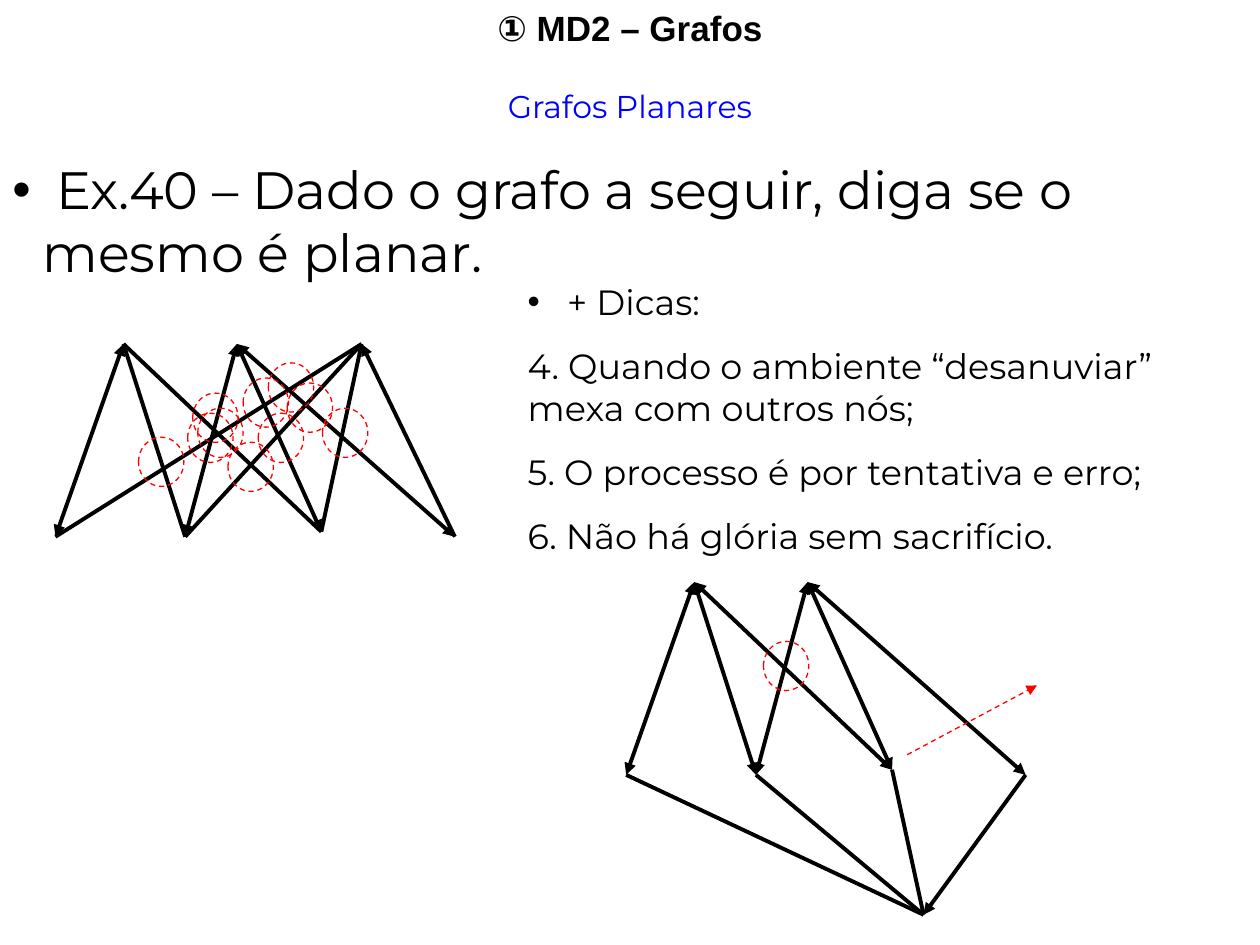
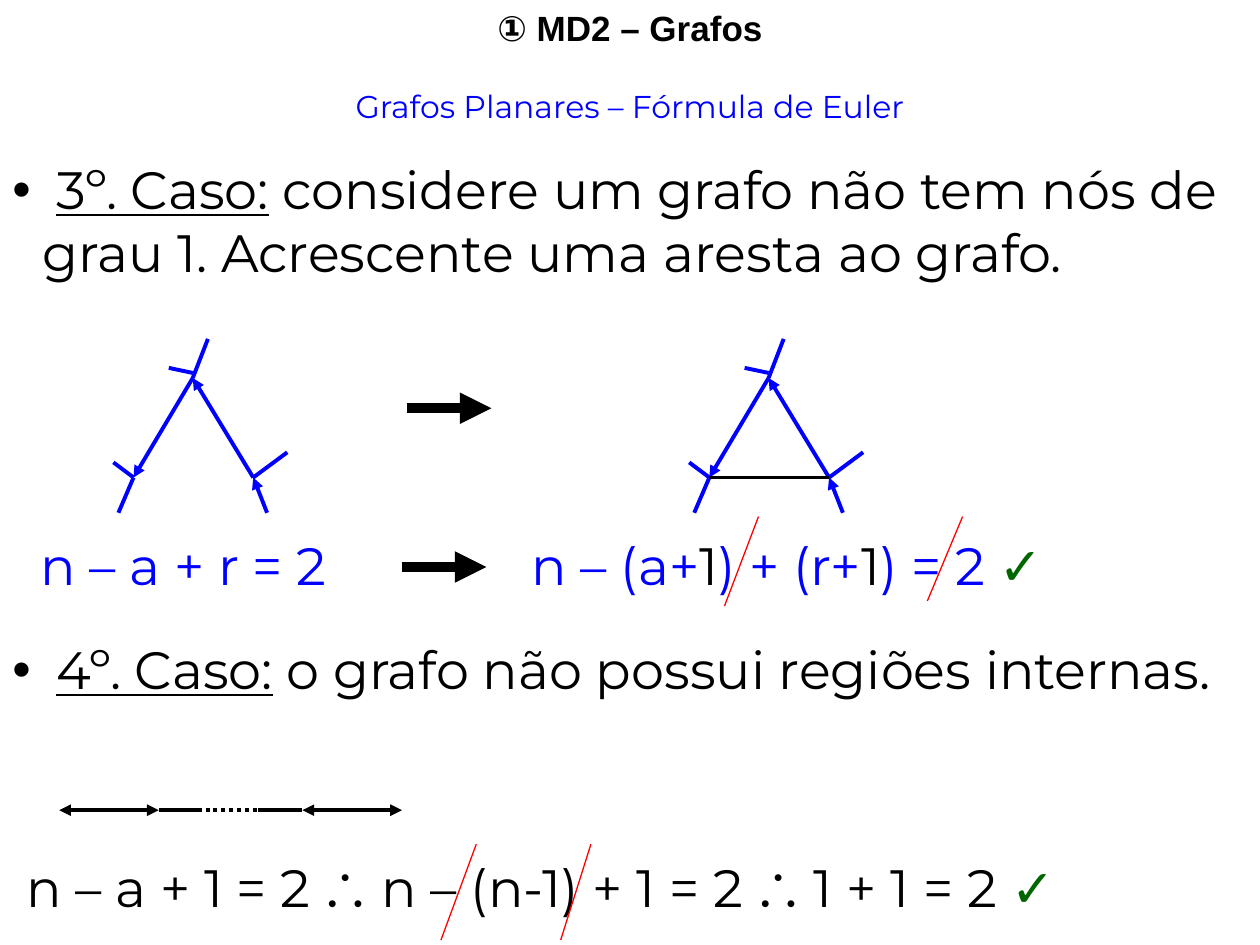
"""Build two lecture slides on planar graphs and Euler's formula."""
import dataclasses

import pptx
import pptx.dml.color
import pptx.enum.dml
import pptx.enum.shapes
import pptx.enum.text
import pptx.oxml.ns
import pptx.util
from lxml import etree

Inches = pptx.util.Inches
Pt = pptx.util.Pt
DASH = pptx.enum.dml.MSO_LINE.DASH
DOTS = pptx.enum.dml.MSO_LINE.ROUND_DOT
CENTER = pptx.enum.text.PP_ALIGN.CENTER


@dataclasses.dataclass(frozen=True)
class Theme:
    ink: str = "000000"
    accent: str = "0000FF"
    mark: str = "FF0000"
    correct: str = "006600"
    heading_font: str = "Arial"
    body_font: str = "Montserrat"
    heading: int = 20
    subtitle: int = 18
    body: int = 30
    hint: int = 20
    edge: float = 2.25
    thin: float = 0.75
    thick: float = 6
    bullet_indent: float = 0.24


theme = Theme()


def write(frame, text, size=theme.body, font=theme.body_font, color=theme.ink, bold=False,
          align=None, before=0, bullet=False, indent=0):
    """Add a paragraph; text is a string or a list of (text, run format) pairs."""
    frame.word_wrap = True
    paragraph = frame.paragraphs[0]
    if paragraph.runs:
        paragraph = frame.add_paragraph()
    paragraph.alignment = align
    paragraph.space_before = Pt(before)
    properties = paragraph._p.get_or_add_pPr()
    hang = theme.bullet_indent if bullet else 0
    properties.set("marL", str(Inches(hang)))
    properties.set("indent", str(Inches(indent - hang)))
    if bullet:
        etree.SubElement(properties, pptx.oxml.ns.qn("a:buFont"), typeface=theme.heading_font)
        etree.SubElement(properties, pptx.oxml.ns.qn("a:buChar"), char="•")
    base = dict(size=size, font=font, color=color, bold=bold, underline=False)
    for words, changes in [(text, {})] if isinstance(text, str) else text:
        style = base | changes
        run = paragraph.add_run()
        run.text = words
        run.font.size = Pt(style["size"])
        run.font.name = style["font"]
        run.font.bold = style["bold"]
        run.font.underline = style["underline"]
        run.font.color.rgb = pptx.dml.color.RGBColor.from_string(style["color"])


def draw_edge(slide, start, end, color=theme.ink, width=theme.edge, dash=None, arrows=""):
    """Draw a straight line; arrows names its ends: head, tail or both."""
    edge = slide.shapes.add_connector(pptx.enum.shapes.MSO_CONNECTOR.STRAIGHT,
                                      *map(Inches, (*start, *end)))
    edge.line.color.rgb = pptx.dml.color.RGBColor.from_string(color)
    edge.line.width = Pt(width)
    if dash:
        edge.line.dash_style = dash
    outline = edge.line._get_or_add_ln()
    for name in ("head", "tail"):
        if name in arrows:
            etree.SubElement(outline, pptx.oxml.ns.qn(f"a:{name}End"), type="triangle")
    etree.SubElement(edge._element.spPr, pptx.oxml.ns.qn("a:effectLst"))


deck = pptx.Presentation()
deck.slide_width, deck.slide_height = Inches(10), Inches(7.5)

openings = [
    ("Grafos Planares", " Ex.40 – Dado o grafo a seguir, diga se o mesmo é planar."),
    ("Grafos Planares – Fórmula de Euler",
     [(" ", {}), ("3º. Caso:", {"underline": True}),
      (" considere um grafo não tem nós de grau 1. Acrescente uma aresta ao grafo.", {})]),
]
for subtitle, statement in openings:
    slide = deck.slides.add_slide(deck.slide_layouts[5])
    title = slide.shapes.title
    title.left, title.top, title.width, title.height = map(Inches, (0, 0, 10, 0.44))
    title.text_frame.vertical_anchor = pptx.enum.text.MSO_ANCHOR.TOP
    title.text_frame.auto_size = pptx.enum.text.MSO_AUTO_SIZE.NONE
    write(title.text_frame, "① MD2 – Grafos", size=theme.heading, font=theme.heading_font,
          bold=True, align=CENTER)
    opening = slide.shapes.add_textbox(*map(Inches, (0, 0.64, 10, 1.66))).text_frame
    write(opening, subtitle, size=theme.subtitle, color=theme.accent, align=CENTER)
    write(opening, statement, before=18.7, bullet=True)

exercise, euler = deck.slides

hints = exercise.shapes.add_textbox(*map(Inches, (4.09, 2.18, 5.83, 2.29))).text_frame
write(hints, " + Dicas:", size=theme.hint, bullet=True)
for hint in ("4. Quando o ambiente “desanuviar” mexa com outros nós;",
             "5. O processo é por tentativa e erro;",
             "6. Não há glória sem sacrifício."):
    write(hints, hint, size=theme.hint, before=12.5)

tangled = {"A": (0.98, 2.73), "B": (1.88, 2.73), "C": (2.87, 2.73),
           "D": (0.44, 4.26), "E": (1.47, 4.26), "F": (2.55, 4.22), "G": (3.61, 4.26)}
untangled = {node: (x + 4.53, y + 1.89) for node, (x, y) in tangled.items()}
untangled["C"] = (7.33, 7.26)
graphs = [
    (tangled, {"both": "DA EB FB BG", "tail": "GC", "": "FC DC EA EC FA"}),
    (untangled, {"both": "DA EB EA FB FA BG", "tail": "GC", "": "FC DC EC"}),
]
for nodes, edges in graphs:
    for arrows, pairs in edges.items():
        for start, end in pairs.split():
            draw_edge(exercise, nodes[start], nodes[end],
                      arrows="head tail" if arrows == "both" else arrows)

crossings = [(1.1, 3.47), (1.81, 3.51), (2.05, 3.28), (2.56, 3.24), (2.28, 3.04), (2.13, 2.88),
             (1.93, 3), (1.57, 3.24), (1.53, 3.12), (1.49, 3.28), (6.06, 5.09)]
for left, top in crossings:
    crossing = exercise.shapes.add_shape(pptx.enum.shapes.MSO_SHAPE.OVAL,
                                         *map(Inches, (left, top, 0.36, 0.39)))
    crossing.shadow.inherit = False
    crossing.fill.background()
    crossing.line.color.rgb = pptx.dml.color.RGBColor.from_string(theme.mark)
    crossing.line.width = Pt(theme.thin)
    crossing.line.dash_style = DASH
draw_edge(exercise, (7.2, 5.99), (8.23, 5.44), color=theme.mark, width=theme.thin,
          dash=DASH, arrows="tail")

branches = [((1.53, 3), (1.06, 3.79), "tail"), ((2.01, 3.79), (1.53, 3), "tail"),
            ((1.53, 3), (1.65, 2.69), ""), ((1.53, 2.96), (1.34, 2.92), ""),
            ((1.06, 3.79), (0.9, 3.67), ""), ((1.06, 3.79), (0.94, 4.07), ""),
            ((2.01, 3.79), (2.28, 3.59), ""), ((2.01, 3.79), (2.12, 4.07), "head")]
for shift in (0, 4.57):
    for (x1, y1), (x2, y2), arrows in branches:
        draw_edge(euler, (x1 + shift, y1), (x2 + shift, y2), color=theme.accent, arrows=arrows)
draw_edge(euler, (5.63, 3.79), (6.58, 3.79))

for x, y in ((3.23, 3.24), (3.19, 4.5)):
    draw_edge(euler, (x, y), (x + 0.67, y), width=theme.thick, arrows="tail")

added = {"color": theme.ink}
check = ("✓", {"font": theme.heading_font, "color": theme.correct})
gap = (" ", {"size": theme.hint})
therefore = [gap, ("∴", {"font": theme.heading_font, "bold": True}), gap]
statements = [
    (0, 4.18, 3, "n – a + r = 2", dict(color=theme.accent, indent=0.22)),
    (4.12, 4.18, 5.88, [("n – (a+", {}), ("1", added), (") + (r+", {}), ("1", added),
                        (") = 2 ", {}), check], dict(color=theme.accent)),
    (0, 5.01, 10, [(" ", {}), ("4º. Caso:", {"underline": True}),
                   (" o grafo não possui regiões internas.", {})], dict(bullet=True)),
    (0, 6.74, 10, [("n – a + 1 = 2", {}), *therefore, ("n – (n-1) + 1 = 2", {}), *therefore,
                   ("1 + 1 = 2 ", {}), check], dict(indent=0.11)),
]
for left, top, width, text, style in statements:
    statement = euler.shapes.add_textbox(*map(Inches, (left, top, width, 0.6))).text_frame
    write(statement, text, **style)

chain = [(0.47, 1.26, None, "head tail"), (1.26, 1.57, None, ""), (1.57, 2.05, DOTS, ""),
         (2.05, 2.4, None, ""), (2.4, 3.19, None, "head tail")]
for start, end, dash, arrows in chain:
    draw_edge(euler, (start, 6.43), (end, 6.43), dash=dash, arrows=arrows)

cancellations = [((6.02, 4.1), (5.75, 4.81)), ((7.64, 4.1), (7.36, 4.77)),
                 ((3.78, 6.7), (3.5, 7.46)), ((4.69, 6.7), (4.45, 7.46))]
for start, end in cancellations:
    draw_edge(euler, start, end, color=theme.mark, width=theme.thin)

deck.save("out.pptx")
